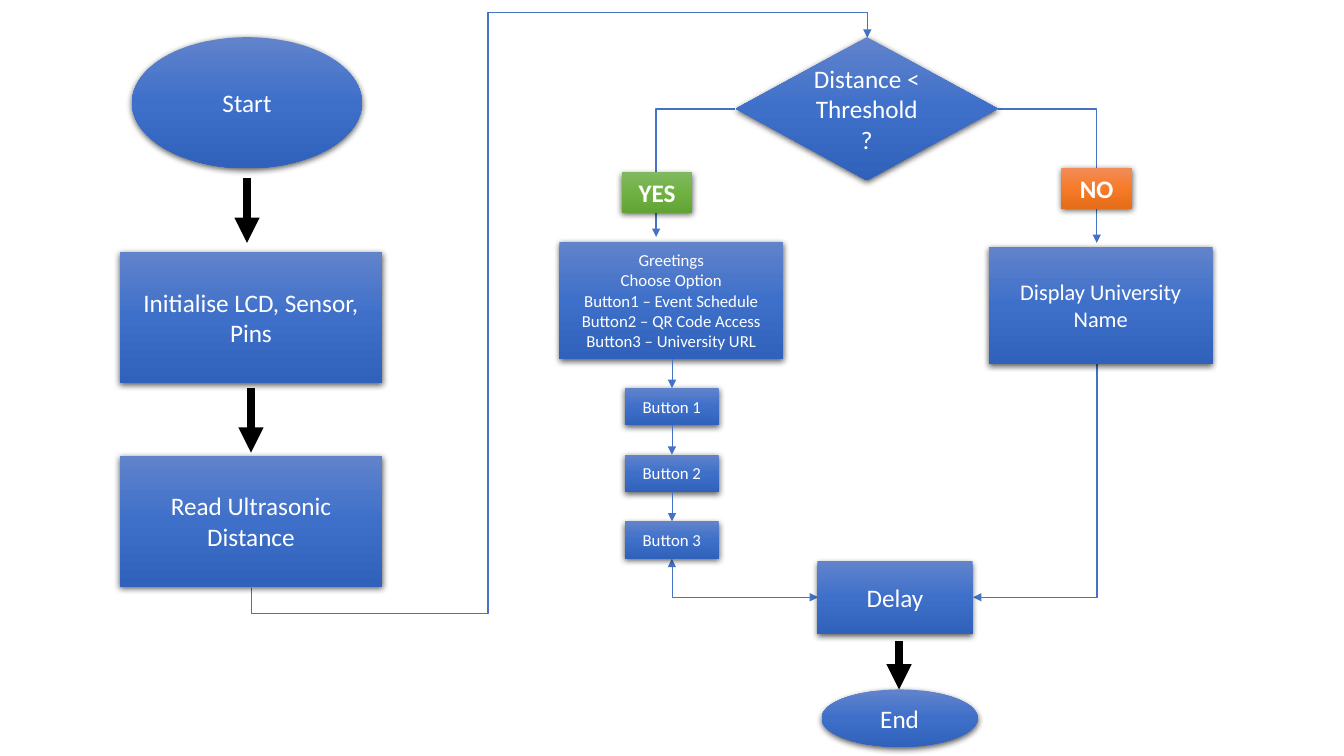
import copy

import pptx
import pptx.dml.color
import pptx.enum.shapes
import pptx.enum.text
import pptx.oxml
import pptx.oxml.ns
import pptx.util

Pt = pptx.util.Pt
RGBColor = pptx.dml.color.RGBColor
SHAPE = pptx.enum.shapes.MSO_SHAPE
LINK = pptx.enum.shapes.MSO_CONNECTOR
ANCHOR = pptx.enum.text.MSO_ANCHOR
qn = pptx.oxml.ns.qn

WHITE = RGBColor(0xFF, 0xFF, 0xFF)
BLACK = RGBColor(0x00, 0x00, 0x00)
LINE_BLUE = RGBColor(0x44, 0x72, 0xC4)
BLUES = (RGBColor(0x61, 0x83, 0xCB), RGBColor(0x3E, 0x70, 0xCA), RGBColor(0x30, 0x62, 0xBB))
GREENS = (RGBColor(0x81, 0xB8, 0x61), RGBColor(0x6F, 0xB2, 0x42), RGBColor(0x62, 0xA3, 0x36))
ORANGES = (RGBColor(0xF1, 0x8C, 0x57), RGBColor(0xF6, 0x7B, 0x28), RGBColor(0xE5, 0x6C, 0x19))
SHADOW = (
    f'<a:outerShdw {pptx.oxml.ns.nsdecls("a")} blurRad="57150" dist="19050" dir="5400000" '
    'algn="ctr" rotWithShape="0"><a:srgbClr val="000000"><a:alpha val="63000"/></a:srgbClr>'
    '</a:outerShdw>'
)

deck = pptx.Presentation()
deck.slide_width, deck.slide_height = Pt(960), Pt(540)
page = deck.slides.add_slide(deck.slide_layouts[6])


def add_step(kind, left, top, width, height, lines, size=18, shades=BLUES, label=False):
    """Add a shaded, shadowed box with one paragraph per line."""
    box = page.shapes.add_shape(kind, Pt(left), Pt(top), Pt(width), Pt(height))
    box.line.fill.background()
    box.fill.gradient()
    box.fill.gradient_angle = 270
    stop_list = box.element.spPr.find(".//" + qn("a:gsLst"))
    stop_list.insert(1, copy.deepcopy(stop_list[0]))
    for index, (stop, shade) in enumerate(zip(box.fill.gradient_stops, shades)):
        stop.position = index / 2
        stop.color.rgb = shade
    box.shadow.inherit = False
    box.element.spPr.find(qn("a:effectLst")).append(pptx.oxml.parse_xml(SHADOW))

    frame = box.text_frame
    frame.word_wrap = True
    frame.vertical_anchor = ANCHOR.TOP if label else ANCHOR.MIDDLE
    for index, line in enumerate(lines):
        para = frame.add_paragraph() if index else frame.paragraphs[0]
        para.alignment = pptx.enum.text.PP_ALIGN.CENTER
        span = para.add_run()
        span.text = line
        span.font.name = "Calibri"
        span.font.size = Pt(size)
        span.font.bold = label
        span.font.color.rgb = WHITE


def add_arrow(start, end, weight, color=LINE_BLUE, preset="line", turn=0, bends=(), both=False):
    """Add an arrow; start and end are its corners before it is turned."""
    kind = LINK.STRAIGHT if preset == "line" else LINK.ELBOW
    arrow = page.shapes.add_connector(kind, *(Pt(value) for value in (*start, *end)))
    arrow.line.color.rgb = color
    arrow.line.width = Pt(weight)
    outline = arrow.line._get_or_add_ln()
    for tag in ("a:headEnd", "a:tailEnd") if both else ("a:tailEnd",):
        pptx.oxml.ns.qn(tag)
        outline.append(outline.makeelement(qn(tag), {"type": "triangle"}))
    properties = arrow.element.spPr
    properties.append(properties.makeelement(qn("a:effectLst"), {}))
    properties.find(qn("a:xfrm")).set("rot", str(turn * 60000))
    geometry = properties.find(qn("a:prstGeom"))
    geometry.set("prst", preset)
    for number, bend in enumerate(bends, 1):
        guide = {"name": f"adj{number}", "fmla": f"val {bend}"}
        geometry.find(qn("a:avLst")).append(geometry.makeelement(qn("a:gd"), guide))


# Heavy black arrows
for x, top, bottom in ((176.4, 127.4, 173.5), (179.3, 277.2, 323.3), (642.2, 457.9, 492.5)):
    add_arrow((x, top), (x, bottom), 6, BLACK)

# Bent arrows: reading to decision, decision to each branch, branches to delay
add_arrow((596.1, 443.5), (203, 3.6), 1, preset="bentConnector5", turn=90,
          bends=(-4600, 38400, 104600))
add_arrow((468.7, 169.2), (524.9, 77.8), 1, preset="bentConnector2", turn=180)
add_arrow((712.8, 77.8), (783.4, 173.5), 1, preset="bentConnector2")
add_arrow((655.9, 298.8), (822.9, 387.4), 1, preset="bentConnector2", turn=90)
add_arrow((545.8, 360.7), (518.4, 465.1), 0.5, preset="bentConnector2", turn=270, both=True)

# Left column
add_step(SHAPE.OVAL, 94.3, 26.6, 164.2, 93.6, ["Start"])
add_step(SHAPE.FLOWCHART_PROCESS, 85.7, 180, 187.2, 93.6, ["Initialise LCD, Sensor, Pins"])
add_step(SHAPE.FLOWCHART_PROCESS, 85.7, 325.4, 187.2, 93.6, ["Read Ultrasonic Distance"])

# Decision and its two answers
add_step(SHAPE.FLOWCHART_DECISION, 525.6, 26.6, 187.2, 102.2, ["Distance < Threshold ?"])
add_step(SHAPE.RECTANGLE, 444.2, 123.1, 50.4, 28.8, ["YES"], shades=GREENS, label=True)
add_step(SHAPE.RECTANGLE, 758.2, 120.2, 50.4, 28.8, ["NO"], shades=ORANGES, label=True)

# Branch boxes
options = [
    "Greetings",
    "Choose Option",
    "Button1 – Event Schedule",
    "Button2 – QR Code Access",
    "Button3 – University URL",
]
add_step(SHAPE.FLOWCHART_PROCESS, 399.6, 172.8, 159.8, 83.5, options, size=12)
add_step(SHAPE.FLOWCHART_PROCESS, 706.3, 176.4, 159.8, 83.5, ["Display University Name"], size=16)

# Buttons, each with the arrow that leads to it
for index in range(3):
    top = 277.2 + 47.6 * index
    add_step(SHAPE.FLOWCHART_PROCESS, 446.4, top, 67, 26.6, [f"Button {index + 1}"], size=12)
    add_arrow((480, top - 20.9), (480, top), 0.5)

# Delay and end
add_step(SHAPE.FLOWCHART_PROCESS, 583.9, 401, 110.9, 51.8, ["Delay"])
add_step(SHAPE.OVAL, 586.8, 492.5, 111.6, 41, ["End"])

deck.save("out.pptx")
